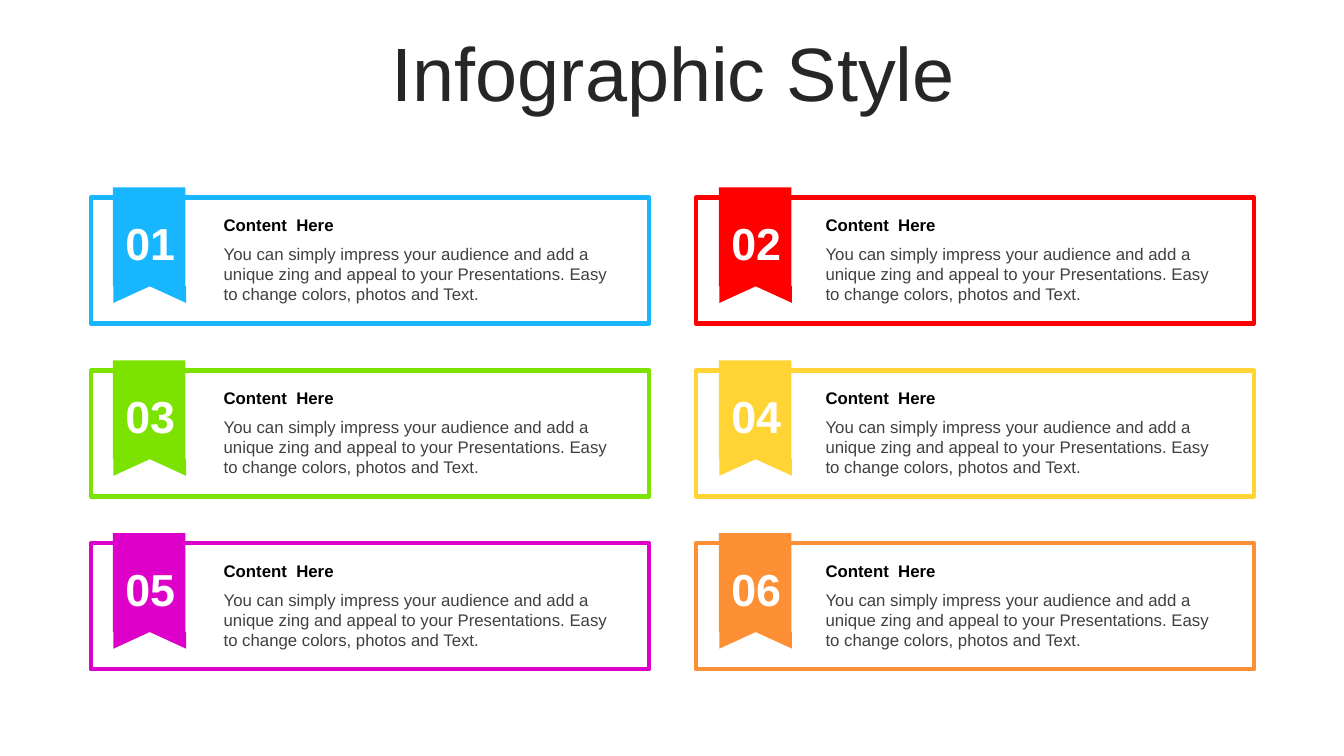
from pptx import Presentation
from pptx.dml.color import RGBColor as RGB
from pptx.enum.shapes import MSO_SHAPE as Kind
from pptx.enum.text import MSO_ANCHOR as Anchor, PP_ALIGN as Align
from pptx.util import Inches, Pt

HUES = {
    "title": "262626", "head": "000000", "body": "404040", "white": "FFFFFF",
    "01": "17B6FF", "02": "FF0000", "03": "7CE200",
    "04": "FFD434", "05": "DC00C8", "06": "FD9034",
}
HEAD = "Content  Here"
BODY = ("You can simply impress your audience and add a unique zing and appeal "
        "to your Presentations. Easy to change colors, photos and Text.")


def add_text(parent, text, x, y, w, h, size, hue, bold=False,
             align=Align.LEFT, anchor=Anchor.TOP, space=1.0):
    box = parent.add_textbox(Inches(x), Inches(y), Inches(w), Inches(h))
    frame = box.text_frame
    frame.word_wrap = True
    frame.vertical_anchor = anchor
    para = frame.paragraphs[0]
    para.text = text
    para.alignment = align
    para.line_spacing = space
    font = para.font
    font.name, font.size, font.bold = "Arial", Pt(size), bold
    font.color.rgb = RGB.from_string(HUES[hue])


def add_part(parent, kind, x, y, w, h, fill, line=None):
    part = parent.add_shape(kind, Inches(x), Inches(y), Inches(w), Inches(h))
    part.shadow.inherit = False
    part.fill.solid()
    part.fill.fore_color.rgb = RGB.from_string(HUES[fill])
    if line:
        part.line.color.rgb = RGB.from_string(HUES[line])
        part.line.width = Pt(3)
    else:
        part.line.fill.background()
    return part


deck = Presentation()
deck.slide_width, deck.slide_height = Inches(13.33), Inches(7.5)
slide = deck.slides.add_slide(deck.slide_layouts[6])
shapes = slide.shapes

# Title
add_text(shapes, "Infographic Style", 0.35, 0.37, 12.66, 0.79, 54, "title",
         align=Align.CENTER, anchor=Anchor.MIDDLE, space=0.9)

# Six cards in two columns and three rows
for i in range(6):
    row, col = divmod(i, 2)
    num = f"{i + 1:02}"
    top = 1.96 + row * 1.715

    # Frame
    add_part(shapes, Kind.RECTANGLE, 0.9 + col * 6, top, 5.54, 1.25,
             "white", line=num)

    # Ribbon with a notched tail
    left = 1.12 + col * 6.01
    ribbon = shapes.add_group_shape().shapes
    tail = add_part(ribbon, Kind.CHEVRON, left + 0.2, top + 0.52, 0.33, 0.72, num)
    tail.rotation = 270
    add_part(ribbon, Kind.RECTANGLE, left, top - 0.1, 0.72, 0.98, num)
    add_text(shapes, num, left + 0.01, top + 0.13, 0.72, 0.64, 32, "white",
             bold=True, align=Align.CENTER, anchor=Anchor.MIDDLE)

    # Heading and body
    left = 2.12 + col * 5.97
    words = shapes.add_group_shape().shapes
    add_text(words, BODY, left, top + 0.41, 4.14, 0.71, 12, "body")
    add_text(words, HEAD, left, top + 0.12, 4.14, 0.3, 12, "head", bold=True)

deck.save("out.pptx")
